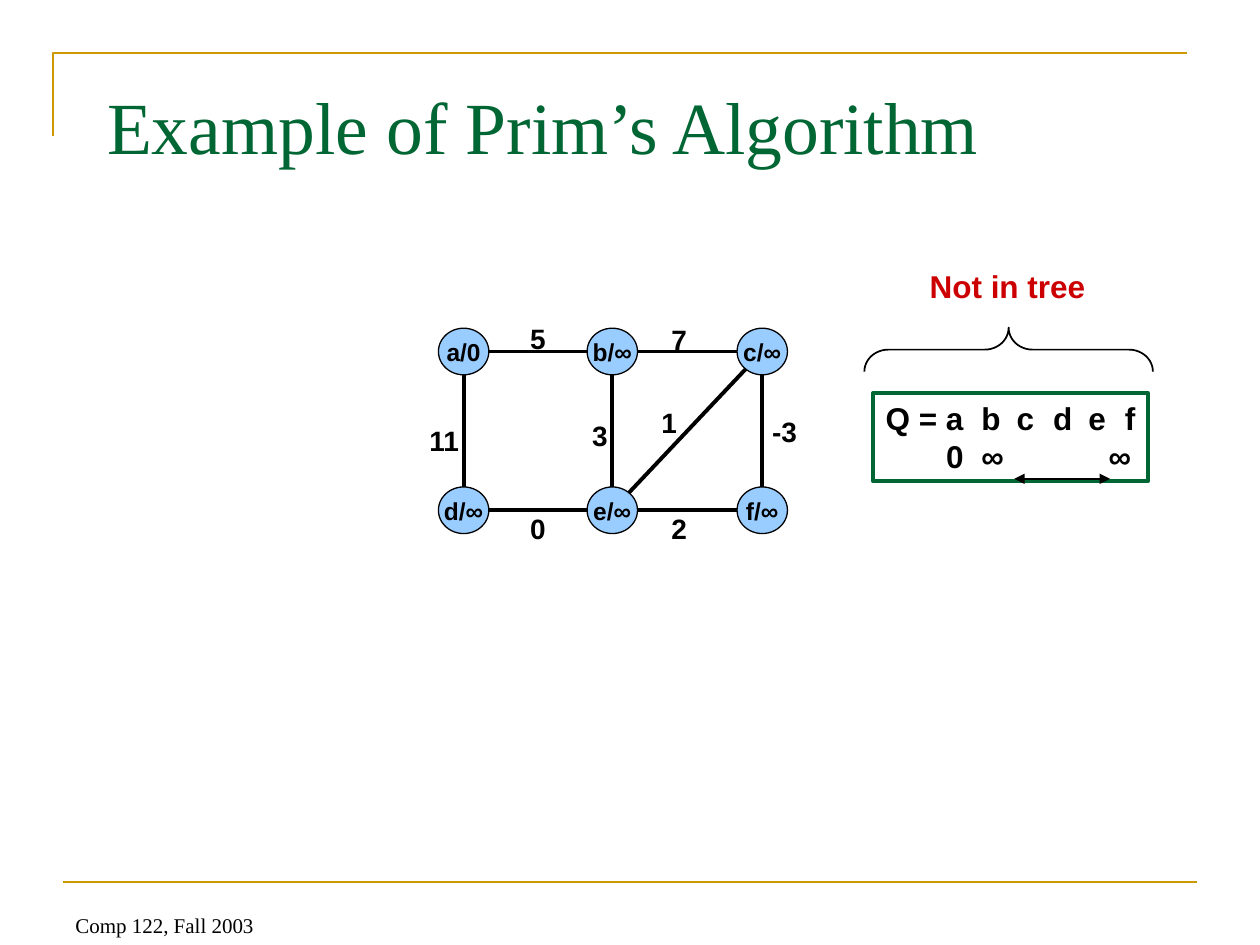
"""Build a slide that shows the first step of Prim's algorithm on a graph."""
from dataclasses import dataclass
from math import hypot
from typing import NamedTuple

from lxml import etree
from pptx import Presentation
from pptx.dml.color import RGBColor
from pptx.enum.shapes import MSO_CONNECTOR, MSO_SHAPE
from pptx.enum.text import MSO_ANCHOR, PP_ALIGN
from pptx.oxml.ns import qn
from pptx.util import Inches, Pt

STRAIGHT = MSO_CONNECTOR.STRAIGHT
OVAL, RECT, BRACE = MSO_SHAPE.OVAL, MSO_SHAPE.RECTANGLE, MSO_SHAPE.LEFT_BRACE
LEFT, CENTER = PP_ALIGN.LEFT, PP_ALIGN.CENTER
TOP, MIDDLE, BOTTOM = MSO_ANCHOR.TOP, MSO_ANCHOR.MIDDLE, MSO_ANCHOR.BOTTOM


@dataclass(frozen=True)
class Theme:
    """Colours, fonts and type sizes of the slide."""
    ink: str = "000000"
    green: str = "006633"
    gold: str = "CC9900"
    blue: str = "99CCFF"
    red: str = "CC0000"
    serif: str = "Times New Roman"
    sans: str = "Arial"
    title: int = 42
    queue: int = 18
    weight: int = 16
    node: int = 14
    foot: int = 12


class Box(NamedTuple):
    """Left, top, width and height in inches."""
    left: float
    top: float
    width: float
    height: float


class Point(NamedTuple):
    """A place on the slide in inches."""
    x: float
    y: float


class Node(NamedTuple):
    """A vertex with its key and centre."""
    key: str
    mid: Point


class Edge(NamedTuple):
    """Two vertices, the weight, and the box of its label."""
    start: str
    end: str
    weight: str
    left: float
    top: float
    width: float = 0.32


THEME = Theme()
COLS, ROWS = (3.68, 4.86, 6.05), (2.79, 4.05)
WIDE, HIGH = 0.4, 0.37
KEYS = (("a/0", "b/∞", "c/∞"), ("d/∞", "e/∞", "f/∞"))
NODES = {key[0]: Node(key, Point(x, y))
         for y, row in zip(ROWS, KEYS) for x, key in zip(COLS, row)}
EDGES = (
    Edge("a", "b", "5", 4.11, 2.5),
    Edge("b", "c", "7", 5.23, 2.51),
    Edge("a", "d", "11", 3.31, 3.31, 0.44),
    Edge("b", "e", "3", 4.6, 3.27),
    Edge("e", "c", "1", 5.15, 3.17),
    Edge("c", "f", "-3", 6.03, 3.24, 0.39),
    Edge("d", "e", "0", 4.11, 4.01),
    Edge("e", "f", "2", 5.23, 4.01),
)
QUEUE = ("Q = a\tb\tc\td\te\tf", "\t0\t∞\t\t\t∞")
STOPS = ((0.76, 1.04, 1.33, 1.61, 1.9), (0.48, 0.76, 1.04, 1.33, 1.77))


def paint(line, tone: str, width: float) -> None:
    """Set the colour and width of a line."""
    line.color.rgb = RGBColor.from_string(tone)
    line.width = Pt(width)


def write(frame, lines, size: int, tone: str = THEME.ink, face: str = THEME.sans,
          bold: bool = True, align=LEFT, anchor=TOP, stops=()) -> None:
    """Fill a text frame with lines, with tab stops if any are given."""
    frame.word_wrap = False
    frame.vertical_anchor = anchor
    for i, text in enumerate(lines):
        para = frame.paragraphs[0] if i == 0 else frame.add_paragraph()
        para.text = text
        para.alignment = align
        if stops:
            tabs = etree.SubElement(para._p.get_or_add_pPr(), qn("a:tabLst"))
            for stop in stops[i]:
                etree.SubElement(tabs, qn("a:tab"), pos=str(Inches(stop)), algn="l")
        font = para.font
        font.name, font.size, font.bold = face, Pt(size), bold
        font.color.rgb = RGBColor.from_string(tone)


def label(shapes, box: Box, text: str, size: int, **style) -> None:
    """Add a text box of one line, with room to spare on the right."""
    frame = shapes.add_textbox(*map(Inches, box)).text_frame
    write(frame, [text], size, **style)
    frame.word_wrap = True
    frame.margin_right = 0


def form(shapes, kind, box: Box, tone: str, width: float, fill: str = ""):
    """Add a preset shape with a line and, if given, a fill."""
    shape = shapes.add_shape(kind, *map(Inches, box))
    shape.shadow.inherit = False
    paint(shape.line, tone, width)
    if fill:
        shape.fill.solid()
        shape.fill.fore_color.rgb = RGBColor.from_string(fill)
    else:
        shape.fill.background()
    return shape


def link(shapes, start: Point, end: Point, tone: str, width: float,
         heads: bool = False) -> None:
    """Add a straight line, with arrowheads at both ends if asked."""
    line = shapes.add_connector(STRAIGHT, *map(Inches, (*start, *end)))
    paint(line.line, tone, width)
    if heads:
        for tag in ("a:headEnd", "a:tailEnd"):
            etree.SubElement(line.line._get_or_add_ln(), qn(tag), type="triangle")
    etree.SubElement(line._element.spPr, qn("a:effectLst"))


def rim(mid: Point, goal: Point) -> Point:
    """Find where the way from a node to a goal leaves its oval."""
    dx, dy = goal.x - mid.x, goal.y - mid.y
    part = 1 / hypot(dx / (WIDE / 2), dy / (HIGH / 2))
    return Point(mid.x + dx * part, mid.y + dy * part)


def draw_frame(shapes) -> None:
    """Draw the gold rules and the footer."""
    pen = shapes.build_freeform(Inches(0.42), Inches(1.08))
    pen.add_line_segments([(Inches(0.42), Inches(0.42)),
                           (Inches(9.42), Inches(0.42))], close=False)
    corner = pen.convert_to_shape()
    corner.shadow.inherit = False
    corner.fill.background()
    paint(corner.line, THEME.gold, 1.5)
    link(shapes, Point(0.5, 7), Point(9.5, 7), THEME.gold, 1.5)
    label(shapes, Box(0.5, 6.99, 2.33, 0.5), "Comp 122, Fall 2003", THEME.foot,
          face=THEME.serif, bold=False, anchor=BOTTOM)


def draw_title(title) -> None:
    """Place and write the title."""
    title.left, title.top, title.width, title.height = map(
        Inches, Box(0.75, 0.58, 8.5, 0.92))
    write(title.text_frame, ["Example of Prim’s Algorithm"], THEME.title,
          THEME.green, THEME.serif, bold=False, anchor=MIDDLE)
    title.text_frame.word_wrap = True
    title.text_frame.margin_bottom = Inches(0.15)


def draw_graph(shapes) -> None:
    """Draw the nodes, the edges and their weights."""
    for key, mid in NODES.values():
        box = Box(mid.x - WIDE / 2, mid.y - HIGH / 2, WIDE, HIGH)
        oval = form(shapes, OVAL, box, THEME.ink, 0.75, THEME.blue)
        write(oval.text_frame, [key], THEME.node, align=CENTER, anchor=MIDDLE)
    for edge in EDGES:
        start, end = NODES[edge.start].mid, NODES[edge.end].mid
        link(shapes, rim(start, end), rim(end, start), THEME.ink, 2.25)
        label(shapes, Box(edge.left, edge.top, edge.width, 0.37), edge.weight,
              THEME.weight)


def draw_queue(shapes) -> None:
    """Draw the queue with its brace and heading."""
    queue = form(shapes, RECT, Box(6.93, 3.12, 2.18, 0.7), THEME.green, 2.25)
    write(queue.text_frame, QUEUE, THEME.queue, stops=STOPS)
    queue.text_frame.word_wrap = True
    queue.text_frame.margin_right = 0
    link(shapes, Point(8.05, 3.8), Point(8.81, 3.8), THEME.ink, 1, heads=True)
    brace = form(shapes, BRACE, Box(7.83, 1.63, 0.35, 2.29), THEME.ink, 1)
    brace.rotation = 90
    brace.adjustments[0] = 0.54
    label(shapes, Box(7.28, 2.07, 1.43, 0.4), "Not in tree", THEME.queue,
          tone=THEME.red)


def main() -> None:
    """Build and save the slide."""
    deck = Presentation()
    deck.slide_width, deck.slide_height = Inches(10), Inches(7.5)
    slide = deck.slides.add_slide(deck.slide_layouts[5])
    draw_frame(slide.shapes)
    draw_title(slide.shapes.title)
    draw_graph(slide.shapes)
    draw_queue(slide.shapes)
    deck.save("out.pptx")


if __name__ == "__main__":
    main()
